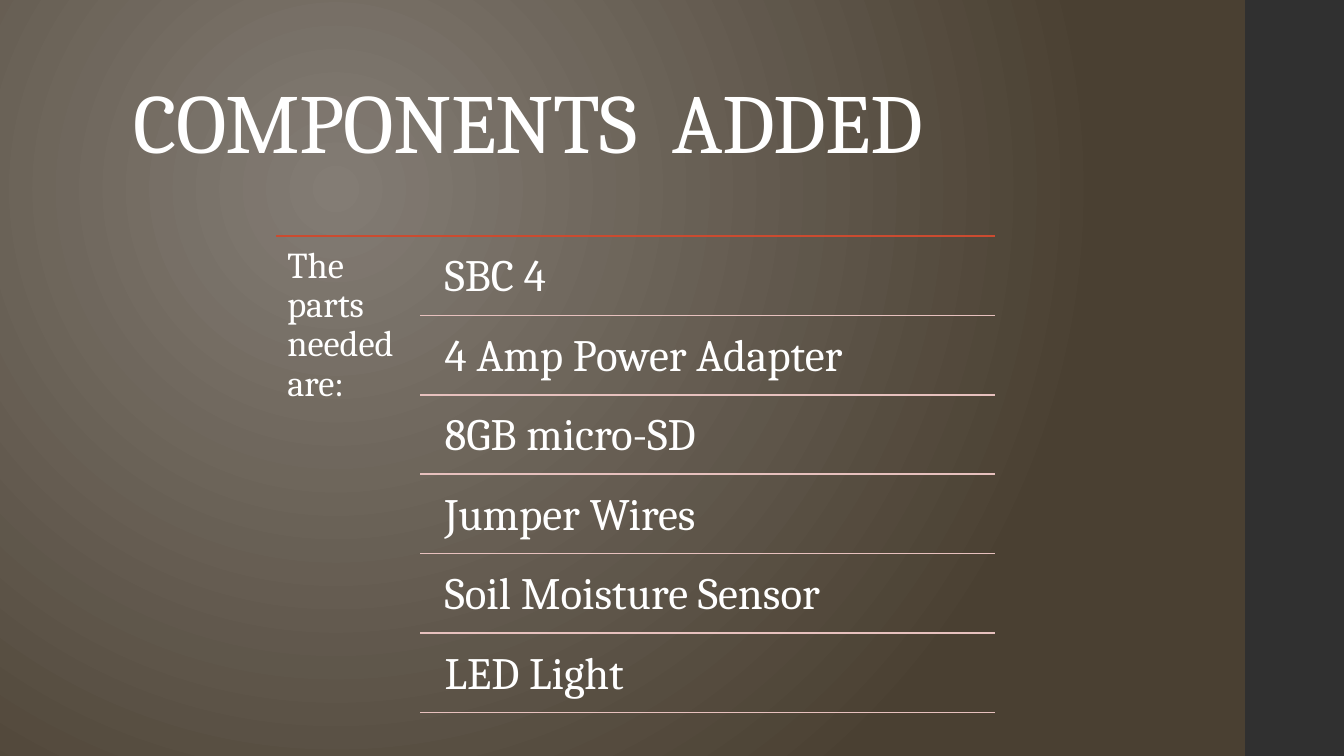
from lxml.etree import SubElement
from pptx import Presentation
from pptx.dml.color import RGBColor
from pptx.enum.shapes import MSO_CONNECTOR, MSO_SHAPE
from pptx.enum.text import MSO_ANCHOR, PP_ALIGN
from pptx.oxml.ns import qn
from pptx.util import Inches, Pt

COLORS = {
    "glow": "837C74",
    "edge": "4A4032",
    "band": "303030",
    "accent": "CB4B30",
    "divider": "E7C1BE",
    "text": "FFFFFF",
}
PARTS = [
    "SBC 4",
    "4 Amp Power Adapter",
    "8GB micro-SD",
    "Jumper Wires",
    "Soil Moisture Sensor",
    "LED Light",
]
LIST_TOP, LIST_BOTTOM = 2.34, 7.07
LIST_LEFT, ROW_LEFT, LIST_RIGHT = 2.74, 4.17, 9.87


class SlideBuilder:
    """Draws styled elements on the current slide."""

    font_name = "Cambria"

    def __init__(self, slide):
        self.slide = slide

    def color(self, name):
        return RGBColor.from_string(COLORS[name])

    def background(self, center, edge):
        fill = self.slide.background.fill
        fill.gradient()
        for stop, name, position in zip(fill.gradient_stops, (center, edge), (0, 1)):
            stop.color.rgb = self.color(name)
            stop.position = position
        gradient = self.slide.element.find(f".//{qn('a:gradFill')}")
        gradient.remove(gradient.find(qn("a:lin")))
        circle = SubElement(gradient, qn("a:path"), path="circle")
        SubElement(circle, qn("a:fillToRect"), l="50000", t="50000", r="100000", b="100000")

    def rectangle(self, left, top, width, height, fill):
        shape = self.slide.shapes.add_shape(
            MSO_SHAPE.RECTANGLE, Inches(left), Inches(top), Inches(width), Inches(height)
        )
        shape.shadow.inherit = False
        shape.fill.solid()
        shape.fill.fore_color.rgb = self.color(fill)
        shape.line.fill.background()

    def rule(self, left, right, top, color, weight):
        connector = self.slide.shapes.add_connector(
            MSO_CONNECTOR.STRAIGHT, Inches(left), Inches(top), Inches(right), Inches(top)
        )
        connector.line.color.rgb = self.color(color)
        connector.line.width = Pt(weight)
        SubElement(connector.element.spPr, qn("a:effectLst"))

    def text(self, left, top, width, height, words, size, insets=(0.1, 0.05),
             anchor=MSO_ANCHOR.TOP, spacing=0):
        shape = self.slide.shapes.add_textbox(
            Inches(left), Inches(top), Inches(width), Inches(height)
        )
        frame = shape.text_frame
        frame.word_wrap = True
        frame.vertical_anchor = anchor
        frame.margin_left = frame.margin_right = Inches(insets[0])
        frame.margin_top = frame.margin_bottom = Inches(insets[1])
        paragraph = frame.paragraphs[0]
        paragraph.text = words
        paragraph.alignment = PP_ALIGN.LEFT
        paragraph.line_spacing = 0.9
        paragraph.font.name = self.font_name
        paragraph.font.size = Pt(size)
        paragraph.font.color.rgb = self.color("text")
        if spacing:
            paragraph.runs[0].font._element.set("spc", str(round(spacing * 100)))


def main():
    presentation = Presentation()
    presentation.slide_width = Inches(13.33)
    presentation.slide_height = Inches(7.5)
    builder = SlideBuilder(presentation.slides.add_slide(presentation.slide_layouts[6]))

    builder.background("glow", "edge")
    builder.rectangle(12.35, 0, 1, 7.5, "band")
    builder.rule(LIST_LEFT, LIST_RIGHT, LIST_TOP, "accent", 1)
    builder.text(LIST_LEFT, LIST_TOP, ROW_LEFT - LIST_LEFT, 4.76,
                 "The parts needed are:", 26, insets=(0.11, 0.11))

    pitch = (LIST_BOTTOM - LIST_TOP) / len(PARTS)
    for index, part in enumerate(PARTS):
        row_top = LIST_TOP + index * pitch
        builder.text(4.28, row_top + 0.04, 5.59, 0.75, part, 32, insets=(0.13, 0.13))
        builder.rule(ROW_LEFT, LIST_RIGHT, row_top + pitch, "divider", 1.1)

    builder.text(1.23, 0.3, 10.6, 1.45, "COMPONENTS  ADDED", 60,
                 anchor=MSO_ANCHOR.BOTTOM, spacing=-0.5)
    presentation.save("out.pptx")


if __name__ == "__main__":
    main()
